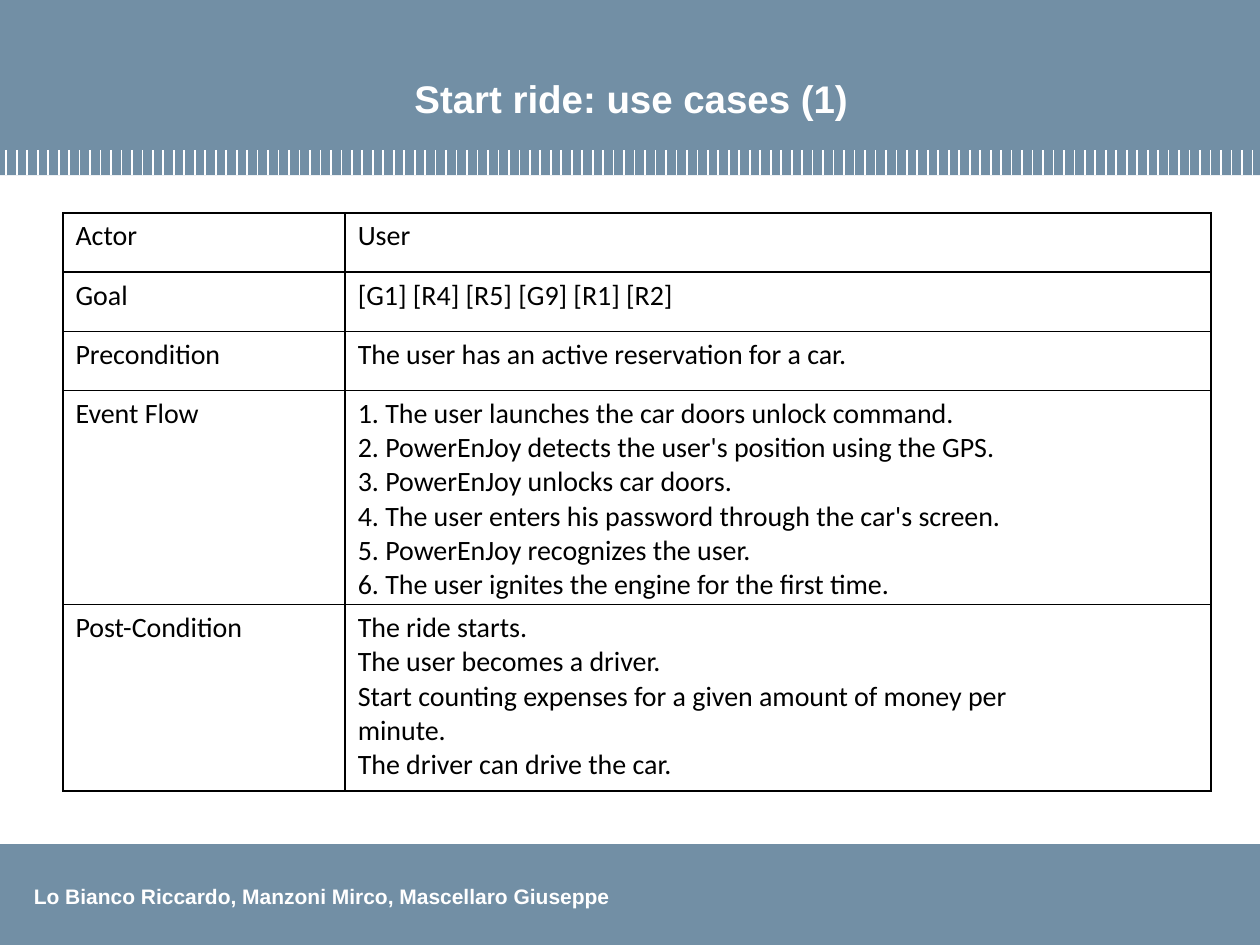
from lxml import etree
from pptx import Presentation
from pptx import util as u
from pptx.dml.color import RGBColor
from pptx.enum import shapes, text
from pptx.oxml.ns import qn

# Content
TITLE = "Start ride: use cases (1)"
AUTHORS = "Lo Bianco Riccardo, Manzoni Mirco, Mascellaro Giuseppe"
USE_CASE = [
    ("Actor", ["User"]),
    ("Goal", ["[G1] [R4] [R5] [G9] [R1] [R2]"]),
    ("Precondition", ["The user has an active reservation for a car."]),
    ("Event Flow", [
        "1. The user launches the car doors unlock command.",
        "2. PowerEnJoy detects the user's position using the GPS.",
        "3. PowerEnJoy unlocks car doors.",
        "4. The user enters his password through the car's screen.",
        "5. PowerEnJoy recognizes the user.",
        "6. The user ignites the engine for the first time.",
    ]),
    ("Post-Condition", [
        "The ride starts.",
        "The user becomes a driver.",
        "Start counting expenses for a given amount of money per",
        "minute.",
        "The driver can drive the car.",
    ]),
]

# Layout, in inches
WIDTH, HEIGHT = 10, 7.5
HEADER_HEIGHT, FOOTER_HEIGHT = 1.39, 0.8
TICK_COUNT, TICK_HEIGHT = 120, 0.2
FIRST_TICK, LAST_TICK = 0.05, 9.94
TABLE_LEFT, TABLE_TOP = 0.5, 1.69
COLUMNS = [2.24, 6.87]
ROWS = [0.47, 0.47, 0.47, 1.7, 1.48]
COLORS = {"band": "728FA5", "light": "FFFFFF", "ink": "000000"}


def color(name):
    return RGBColor.from_string(COLORS[name])


def style(paragraph, font, size, ink, bold=False):
    paragraph.font.name = font
    paragraph.font.size = u.Pt(size)
    paragraph.font.bold = bold
    paragraph.font.color.rgb = color(ink)


def add_band(slide, top, height):
    band = slide.shapes.add_shape(
        shapes.MSO_SHAPE.RECTANGLE, 0, u.Inches(top), u.Inches(WIDTH), u.Inches(height))
    band.shadow.inherit = False
    band.fill.solid()
    band.fill.fore_color.rgb = color("band")
    band.line.fill.background()


def add_label(slide, wording, box, size):
    label = slide.shapes.add_textbox(*(u.Inches(n) for n in box))
    paragraph = label.text_frame.paragraphs[0]
    paragraph.text = wording
    style(paragraph, "Arial", size, "light", bold=True)
    return label.text_frame


def add_ticks(slide):
    pitch = (LAST_TICK - FIRST_TICK) / (TICK_COUNT - 1)
    top, bottom = u.Inches(HEADER_HEIGHT - TICK_HEIGHT), u.Inches(HEADER_HEIGHT)
    ticks = slide.shapes.add_group_shape()
    for i in range(TICK_COUNT):
        x = u.Inches(FIRST_TICK + i * pitch)
        tick = ticks.shapes.add_connector(shapes.MSO_CONNECTOR.STRAIGHT, x, top, x, bottom)
        tick.line.color.rgb = color("light")
        tick.line.width = u.Pt(1)
        etree.SubElement(tick._element.spPr, qn("a:effectLst"))


def add_borders(cell):
    properties = cell._tc.get_or_add_tcPr()
    for position, side in enumerate(("lnL", "lnR", "lnT", "lnB")):
        border = etree.Element(qn(f"a:{side}"), w=str(u.Pt(1)))
        fill = etree.SubElement(border, qn("a:solidFill"))
        etree.SubElement(fill, qn("a:srgbClr"), val=COLORS["ink"])
        properties.insert(position, border)


def fill_cell(cell, lines):
    cell.fill.background()
    add_borders(cell)
    cell.text = "\n".join(lines)
    for paragraph in cell.text_frame.paragraphs:
        style(paragraph, "Calibri", 16, "ink")


def add_use_case(slide):
    table = slide.shapes.add_table(
        len(ROWS), len(COLUMNS), u.Inches(TABLE_LEFT), u.Inches(TABLE_TOP),
        u.Inches(sum(COLUMNS)), u.Inches(sum(ROWS))).table
    table.first_row = table.horz_banding = False
    for column, width in zip(table.columns, COLUMNS):
        column.width = u.Inches(width)
    for row, height, (field, lines) in zip(table.rows, ROWS, USE_CASE):
        row.height = u.Inches(height)
        fill_cell(row.cells[0], [field])
        fill_cell(row.cells[1], lines)


def main():
    deck = Presentation()
    deck.slide_width, deck.slide_height = u.Inches(WIDTH), u.Inches(HEIGHT)
    slide = deck.slides.add_slide(deck.slide_layouts[6])

    # Header and footer
    add_band(slide, 0, HEADER_HEIGHT)
    add_band(slide, HEIGHT - FOOTER_HEIGHT, FOOTER_HEIGHT)
    authors = add_label(slide, AUTHORS, (0.17, 6.96, 4.83, 0.3), 12)
    authors.word_wrap = False
    add_ticks(slide)

    # Title
    title = add_label(slide, TITLE, (0.32, 0.15, 9.38, 0.92), 22)
    title.word_wrap = True
    title.vertical_anchor = text.MSO_ANCHOR.BOTTOM
    title.margin_bottom = u.Inches(0.11)
    title.paragraphs[0].alignment = text.PP_ALIGN.CENTER

    # Use case table
    add_use_case(slide)
    deck.save("out.pptx")


if __name__ == "__main__":
    main()
